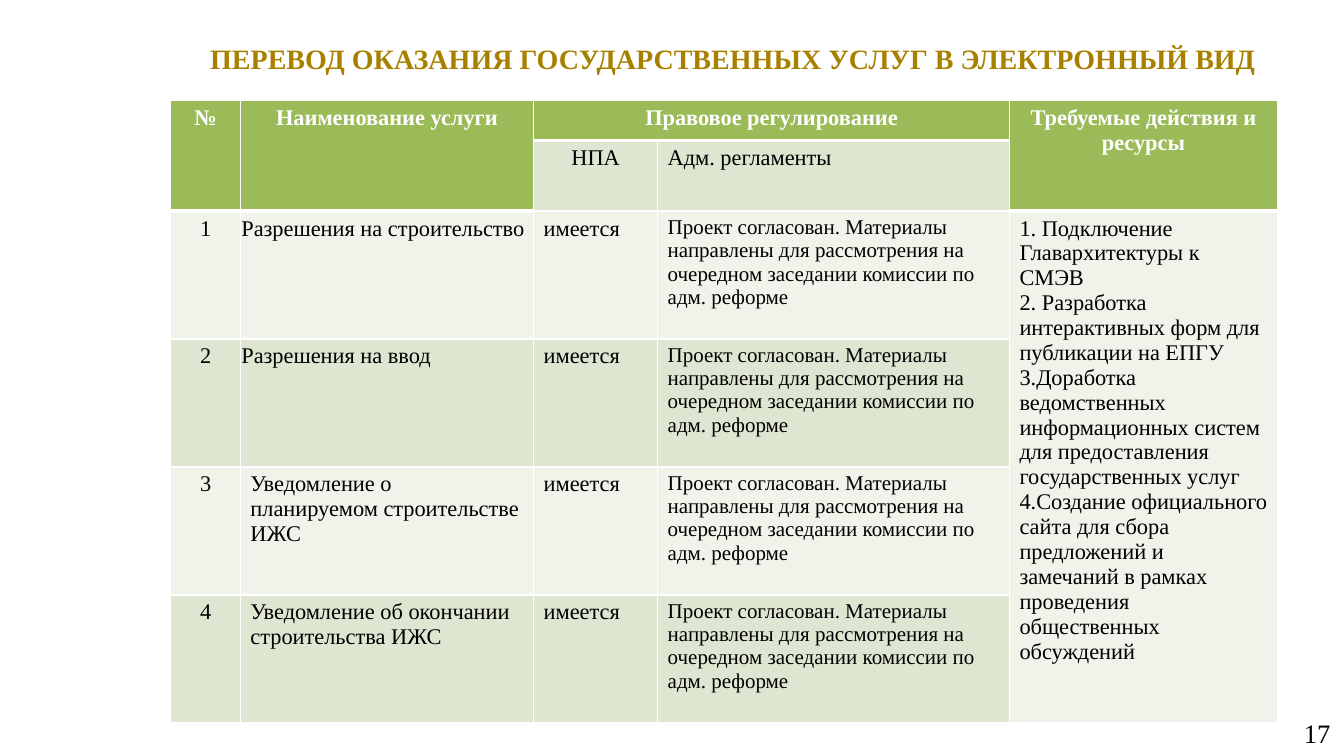
from lxml import etree
from pptx import Presentation
from pptx import util as u
from pptx.dml import color
from pptx.enum import text as t
from pptx.oxml import ns

COLORS = {
    "title": "A88000",
    "header": "9BBB59",
    "band": "DEE6D1",
    "light": "EFF3E9",
    "white": "FFFFFF",
    "black": "000000",
}
LEFT, CENTER, RIGHT = t.PP_ALIGN.LEFT, t.PP_ALIGN.CENTER, t.PP_ALIGN.RIGHT


def write(frame, content, size=16, color_name="black", bold=False, align=LEFT):
    frame.word_wrap = True
    for index, line in enumerate(content.split("\n")):
        paragraph = frame.add_paragraph() if index else frame.paragraphs[0]
        paragraph.alignment = align
        run = paragraph.add_run()
        run.text = line
        run.font.name = "Times New Roman"
        run.font.size = u.Pt(size)
        run.font.bold = bold
        run.font.color.rgb = color.RGBColor.from_string(COLORS[color_name])


def add_border(cell, side, width):
    properties = cell._tc.get_or_add_tcPr()
    line = etree.SubElement(properties, ns.qn("a:" + side), w=str(u.Pt(width)))
    fill = etree.SubElement(line, ns.qn("a:solidFill"))
    etree.SubElement(fill, ns.qn("a:srgbClr"), val=COLORS["white"])


presentation = Presentation()
presentation.slide_width = u.Pt(960)
presentation.slide_height = u.Pt(540)
slide = presentation.slides.add_slide(presentation.slide_layouts[6])

text_boxes = [
    ((735.8, 509, 224, 28.8), "17",
     dict(size=19, align=RIGHT)),
    ((111.6, 5.8, 823.7, 72), "ПЕРЕВОД ОКАЗАНИЯ ГОСУДАРСТВЕННЫХ УСЛУГ В ЭЛЕКТРОННЫЙ ВИД",
     dict(size=20, color_name="title", bold=True, align=CENTER)),
]
for place, content, style in text_boxes:
    frame = slide.shapes.add_textbox(*map(u.Pt, place)).text_frame
    frame.vertical_anchor = t.MSO_ANCHOR.MIDDLE
    frame.margin_left = frame.margin_right = u.Pt(9.4)
    frame.margin_top = frame.margin_bottom = u.Pt(5)
    write(frame, content, **style)

column_widths = [49.7, 209.5, 88.6, 251.3, 191.5]
row_heights = [28.8, 50.4] + [91.44] * 4
table = slide.shapes.add_table(
    len(row_heights), len(column_widths), u.Pt(122), u.Pt(71.5),
    u.Pt(sum(column_widths)), u.Pt(sum(row_heights))).table
table.first_row = False
table.horz_banding = False
for column, width in zip(table.columns, column_widths):
    column.width = u.Pt(width)
for row, height in zip(table.rows, row_heights):
    row.height = u.Pt(height)

last_header_rows = [1, 1, 0, 0, 1]
for row_index in range(len(row_heights)):
    for column_index, last_header in enumerate(last_header_rows):
        cell = table.cell(row_index, column_index)
        is_header = row_index <= last_header
        add_border(cell, "lnL", 0.96)
        add_border(cell, "lnR", 0.96)
        add_border(cell, "lnT", 3 if row_index == last_header + 1 else 0.96)
        add_border(cell, "lnB", 3 if is_header else 0.96)
        fill_name = "header" if is_header else "band" if row_index % 2 else "light"
        cell.fill.solid()
        cell.fill.fore_color.rgb = color.RGBColor.from_string(COLORS[fill_name])

for first, last in [((0, 0), (1, 0)), ((0, 1), (1, 1)), ((0, 2), (0, 3)),
                    ((0, 4), (1, 4)), ((2, 4), (5, 4))]:
    table.cell(*first).merge(table.cell(*last))

headings = {0: "№", 1: "Наименование услуги", 2: "Правовое регулирование",
            4: "Требуемые действия и ресурсы"}
for column_index, heading in headings.items():
    write(table.cell(0, column_index).text_frame, heading,
          color_name="white", bold=True, align=CENTER)
write(table.cell(1, 2).text_frame, "НПА", align=CENTER)
write(table.cell(1, 3).text_frame, "Адм. регламенты")

services = [
    ("Разрешения на строительство", 0.72),
    ("Разрешения на ввод", 0.72),
    ("Уведомление о планируемом строительстве ИЖС", 7.2),
    ("Уведомление об окончании строительства ИЖС", 7.2),
]
regulation = ("Проект согласован. Материалы направлены для рассмотрения "
              "на очередном заседании комиссии по адм. реформе")
for number, (service, margin) in enumerate(services, 1):
    number_cell, service_cell, act_cell, regulation_cell = [
        table.cell(number + 1, column_index) for column_index in range(4)]
    service_cell.margin_left = service_cell.margin_right = u.Pt(margin)
    write(number_cell.text_frame, str(number), align=CENTER)
    write(service_cell.text_frame, service)
    write(act_cell.text_frame, "имеется")
    write(regulation_cell.text_frame, regulation, size=15)

actions = [
    "1. Подключение Главархитектуры к СМЭВ",
    "2. Разработка интерактивных форм для публикации на ЕПГУ",
    "3.Доработка ведомственных информационных систем для предоставления государственных услуг",
    "4.Создание официального сайта для сбора предложений и замечаний "
    "в рамках проведения общественных обсуждений",
]
write(table.cell(2, 4).text_frame, "\n".join(actions))

presentation.save("out.pptx")
